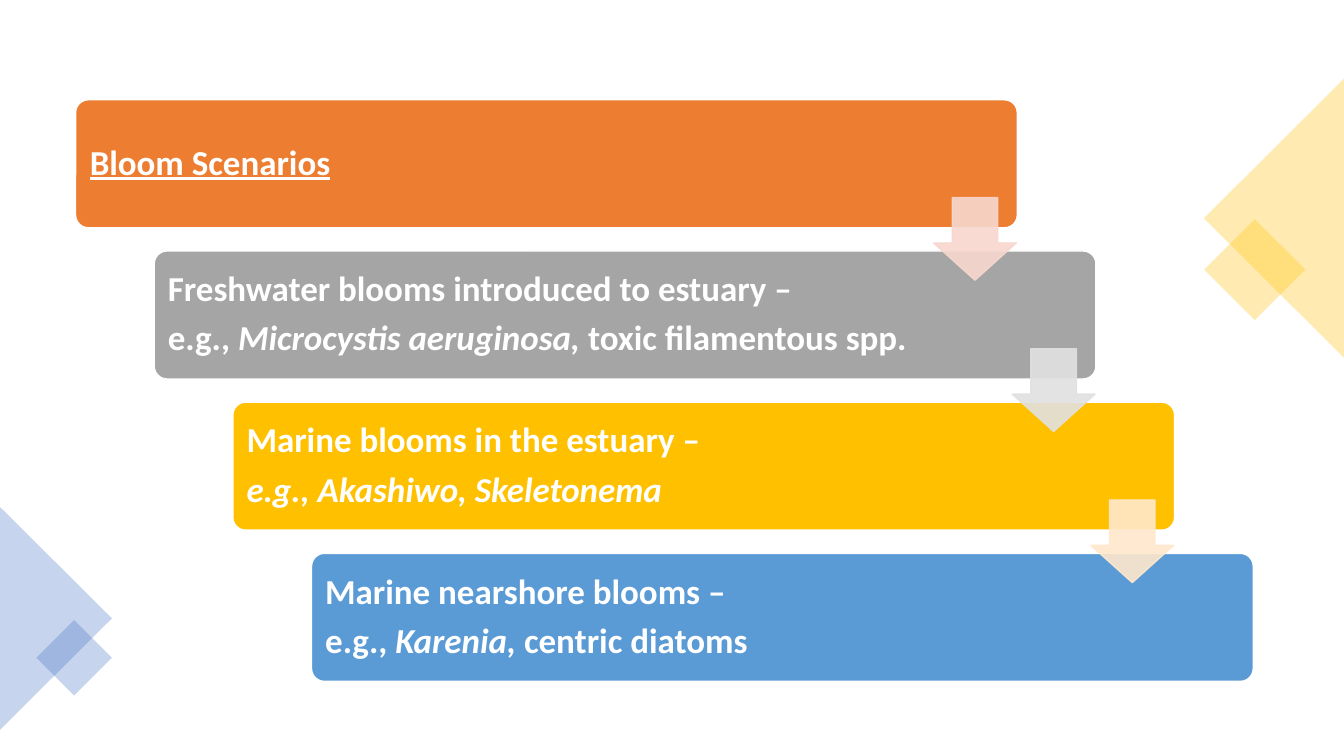
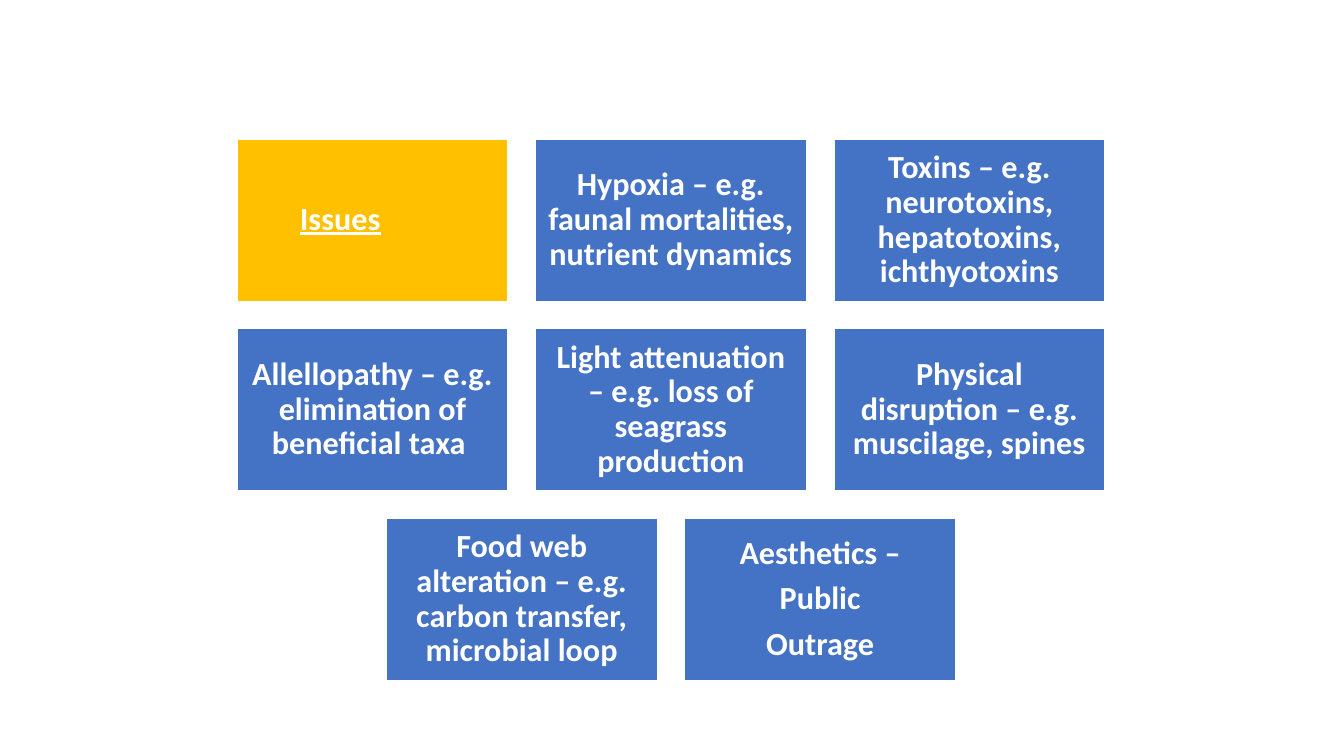
from dataclasses import dataclass

from lxml import etree
from pptx import Presentation
from pptx import util as u
from pptx.dml.color import RGBColor
from pptx.enum import shapes, text
from pptx.oxml import ns

WHITE = RGBColor(0xFF, 0xFF, 0xFF)
ORANGE = RGBColor(0xED, 0x7D, 0x31)
GREY = RGBColor(0xA5, 0xA5, 0xA5)
GOLD = RGBColor(0xFF, 0xC0, 0x00)
SKY = RGBColor(0x5B, 0x9B, 0xD5)
BLUE = RGBColor(0x44, 0x72, 0xC4)
PALE_ORANGE = RGBColor(0xF8, 0xD7, 0xCE)
PALE_GREY = RGBColor(0xE1, 0xE1, 0xE1)
PALE_GOLD = RGBColor(0xFF, 0xE8, 0xCC)

LEFT, CENTER = text.PP_ALIGN.LEFT, text.PP_ALIGN.CENTER
SHAPE = shapes.MSO_SHAPE


@dataclass
class Grid:
    """Equal cells, in inches, at a fixed step from one to the next."""
    left: float
    top: float
    column_step: float
    row_step: float
    width: float
    height: float

    def cell(self, column, row):
        return (self.left + column * self.column_step,
                self.top + row * self.row_step, self.width, self.height)


def paint(fill, color, opacity=100):
    fill.solid()
    fill.fore_color.rgb = color
    if opacity < 100:
        for node in fill._xPr.iter(ns.qn("a:srgbClr")):
            etree.SubElement(node, ns.qn("a:alpha"), val=str(opacity * 1000))


def write(frame, paragraphs, size, align=LEFT, underline=False, right_inset=0.1):
    """Fill a frame; a paragraph is a list of spans, and *span is italic."""
    frame.word_wrap = True
    frame.auto_size = text.MSO_AUTO_SIZE.NONE
    frame.vertical_anchor = text.MSO_ANCHOR.MIDDLE
    frame.margin_left = frame.margin_top = frame.margin_bottom = u.Inches(0.1)
    frame.margin_right = u.Inches(right_inset)
    for index, spans in enumerate(paragraphs):
        para = frame.add_paragraph() if index else frame.paragraphs[0]
        para.alignment = align
        para.line_spacing = 0.9
        para.space_after = u.Pt(round(size * 0.33, 1))
        for words in spans:
            span = para.add_run()
            span.text = words.removeprefix("*")
            font = span.font
            font.name, font.size, font.bold = "Calibri", u.Pt(size), True
            font.italic = words.startswith("*")
            font.underline = underline
            font.color.rgb = WHITE


class Deck:
    def __init__(self):
        self.file = Presentation()
        self.file.slide_width = u.Inches(13.33)
        self.file.slide_height = u.Inches(7.5)
        self.slide = None

    def new_slide(self):
        self.slide = self.file.slides.add_slide(self.file.slide_layouts[5])

    def shape(self, kind, place, color, opacity=100, line=None,
              rotation=0, adjust=()):
        shape = self.slide.shapes.add_shape(kind, *map(u.Inches, place))
        shape.shadow.inherit = False
        shape.rotation = rotation
        for index, value in enumerate(adjust):
            shape.adjustments[index] = value
        paint(shape.fill, color, opacity)
        if line is None:
            shape.line.fill.background()
        else:
            shape.line.width = u.Pt(1)
            paint(shape.line.fill, line, opacity)
        return shape

    def card(self, place, color, rounded=False):
        if rounded:
            return self.shape(SHAPE.ROUNDED_RECTANGLE, place, color,
                              line=WHITE, adjust=[0.1])
        return self.shape(SHAPE.RECTANGLE, place, color, line=WHITE)

    def title(self, words, place, **style):
        """Lay the title placeholder on top of the card at this place."""
        title = self.slide.shapes.title
        title.left, title.top, title.width, title.height = map(u.Inches, place)
        write(title.text_frame, [[words]], underline=True, **style)
        self.slide.shapes._spTree.append(title._element)

    def arrow(self, place, color):
        self.shape(SHAPE.DOWN_ARROW, place, color, opacity=90, line=color,
                   adjust=[0.55, 0.45])

    def corner(self, kind, place, color, rotation):
        self.shape(kind, place, color, opacity=30, rotation=rotation)


def bloom_scenarios(deck):
    deck.new_slide()
    deck.corner(SHAPE.RECTANGLE, (12.09, 2.32, 0.71, 0.71), GOLD, 45)
    deck.corner(SHAPE.ISOSCELES_TRIANGLE, (11.25, 1.47, 2.77, 1.39), GOLD, 270)
    deck.corner(SHAPE.ISOSCELES_TRIANGLE, (-0.55, 5.58, 2.21, 1.11), BLUE, 90)
    deck.corner(SHAPE.RECTANGLE, (0.47, 6.26, 0.53, 0.53), BLUE, 45)

    stairs = Grid(0.75, 0.99, 0.78, 1.5, 9.34, 1.27)
    arrows = Grid(9.26, 1.96, 0.78, 1.5, 0.82, 0.82)
    scenarios = [
        (GREY, [["Freshwater blooms introduced to estuary –"],
                ["e.g., ", "*Microcystis aeruginosa, ",
                 "toxic filamentous spp."]]),
        (GOLD, [["Marine blooms in the estuary –"],
                ["*e.g., Akashiwo, Skeletonema"]]),
        (SKY, [["Marine nearshore blooms –"],
               ["e.g., ", "*Karenia, ", "centric diatoms"]]),
    ]
    left, top, width, height = stairs.cell(0, 0)
    deck.card((left, top, width, height), ORANGE, rounded=True)
    deck.title("Bloom Scenarios", (left + 0.04, top, width - 0.08, height),
               size=25)
    for step, (color, paragraphs) in enumerate(scenarios, 1):
        card = deck.card(stairs.cell(step, step), color, rounded=True)
        write(card.text_frame, paragraphs, size=25)
    for step, color in enumerate([PALE_ORANGE, PALE_GREY, PALE_GOLD]):
        deck.arrow(arrows.cell(step, step), color)


def issues(deck):
    deck.new_slide()
    tiles = Grid(2.35, 1.38, 2.96, 1.88, 2.69, 1.61)
    heading = tiles.cell(0, 0)
    deck.card(heading, GOLD)
    deck.title("Issues", heading, size=23, align=CENTER, right_inset=0.74)
    topics = [
        (1, 0, ["Hypoxia – e.g. faunal mortalities, nutrient dynamics"]),
        (2, 0, ["Toxins – e.g. neurotoxins, hepatotoxins, ichthyotoxins"]),
        (0, 1, ["Allellopathy – e.g. elimination of beneficial taxa "]),
        (1, 1, ["Light attenuation – e.g. loss of seagrass production"]),
        (2, 1, ["Physical disruption – e.g. muscilage, spines"]),
        (0.5, 2, ["Food web alteration – e.g. carbon transfer, microbial loop"]),
        (1.5, 2, ["Aesthetics –", "Public", "Outrage"]),
    ]
    for column, row, lines in topics:
        card = deck.card(tiles.cell(column, row), BLUE)
        write(card.text_frame, [[line] for line in lines], size=23, align=CENTER)


def main():
    deck = Deck()
    bloom_scenarios(deck)
    issues(deck)
    deck.file.save("out.pptx")


if __name__ == "__main__":
    main()
